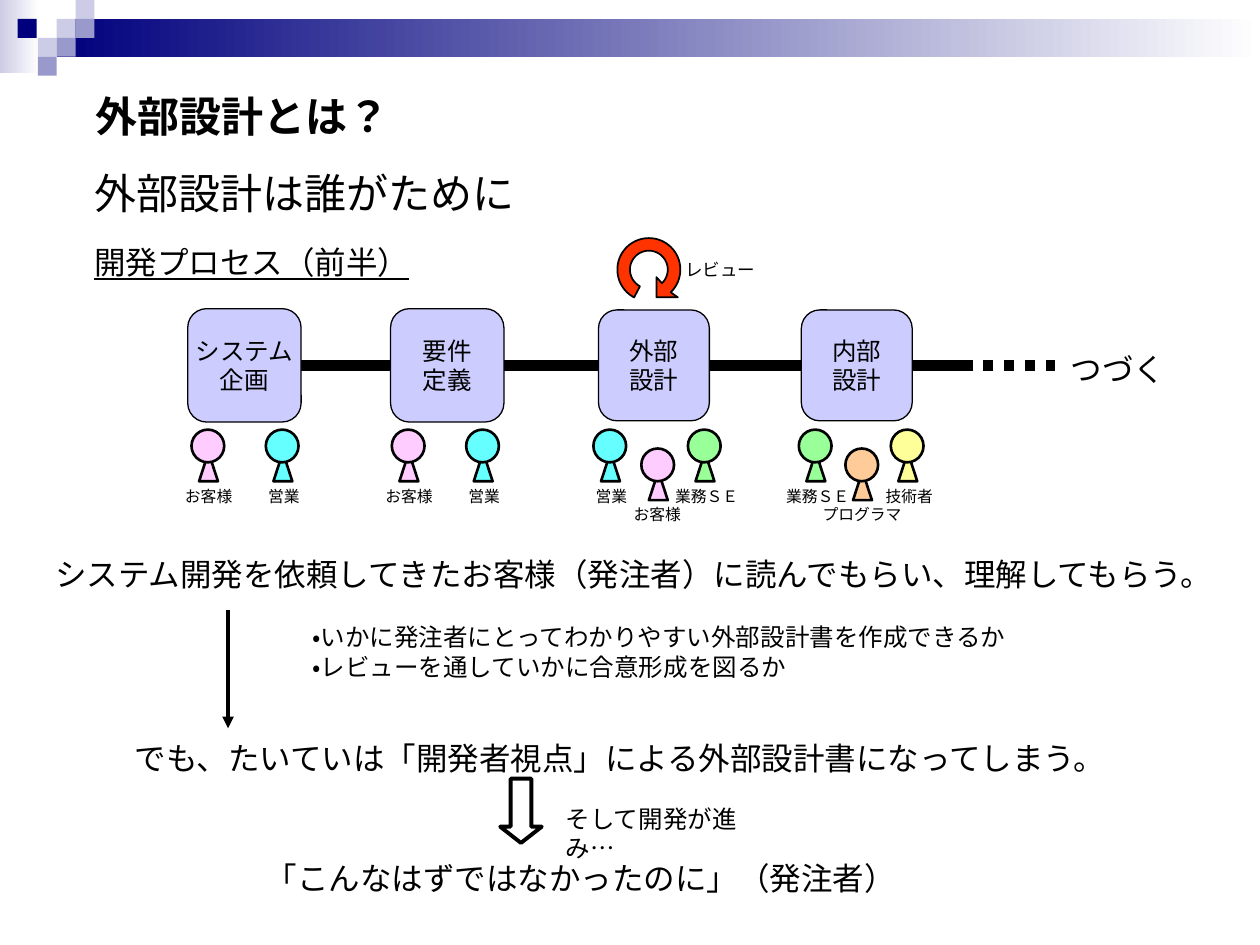
from math import cos, radians, sin

from lxml import etree
from pptx import Presentation
from pptx.dml.color import RGBColor
from pptx.enum.dml import MSO_LINE
from pptx.enum.lang import MSO_LANGUAGE_ID
from pptx.enum.shapes import MSO_CONNECTOR, MSO_SHAPE
from pptx.enum.text import MSO_ANCHOR, PP_ALIGN
from pptx.oxml.ns import qn
from pptx.util import Inches, Pt

RECT, ROUND, OVAL = MSO_SHAPE.RECTANGLE, MSO_SHAPE.ROUNDED_RECTANGLE, MSO_SHAPE.OVAL
CONE, DOWN = MSO_SHAPE.ISOSCELES_TRIANGLE, MSO_SHAPE.DOWN_ARROW
STRAIGHT, DOTS = MSO_CONNECTOR.STRAIGHT, MSO_LINE.ROUND_DOT
LEFT, CENTER, MIDDLE = PP_ALIGN.LEFT, PP_ALIGN.CENTER, MSO_ANCHOR.MIDDLE

COLORS = {
    "ink": "000000", "white": "FFFFFF", "navy": "00007D", "pale": "CCCCE6",
    "mid": "9999CC", "step": "CCCCFF", "red": "FF3300", "pink": "FFCCFF",
    "cyan": "66FFFF", "green": "99FF99", "orange": "FFCC99", "yellow": "FFFF99",
}
BASE = {"name": "Arial", "language_id": MSO_LANGUAGE_ID.JAPANESE}

CELL = 0.15  # side of a square in the header pattern
SQUARES = [
    (0.45, 1, "pale"), (0.6, 0, "pale"), (0.6, 1, "mid"), (0.3, 2, "pale"),
    (0.14, 1, "navy"), (0.45, 2, "mid"), (0.3, 3, "mid"),
]

# left, top, side, lines
STEPS = [
    (1.49, 2.45, 0.9, ["システム", "企画"]),
    (3.1, 2.45, 0.9, ["要件", "定義"]),
    (4.75, 2.46, 0.88, ["外部", "設計"]),
    (6.36, 2.46, 0.88, ["内部", "設計"]),
]

# head left, head top, colour, role, label left
HIGH, LOW = 3.41, 3.56
PEOPLE = [
    (1.52, HIGH, "pink", "お客様", 1.37),
    (2.11, HIGH, "cyan", "営業", 2.03),
    (5.46, HIGH, "green", "業務ＳＥ", 5.26),
    (6.71, LOW, "orange", "プログラマ", 6.43),
    (7.07, HIGH, "yellow", "技術者", 6.93),
    (3.11, HIGH, "pink", "お客様", 2.96),
    (3.7, HIGH, "cyan", "営業", 3.62),
    (5.09, LOW, "pink", "お客様", 4.93),
    (4.71, HIGH, "cyan", "営業", 4.63),
    (6.34, HIGH, "green", "業務ＳＥ", 6.14),
]

# box, lines, font format
TEXTS = [
    ((0.66, 0.67, 2.53, 0.5), ["外部設計とは？"], {"size": Pt(24), "bold": True}),
    ((0.65, 1.28, 3.53, 0.5), ["外部設計は誰がために"], {"size": Pt(24)}),
    ((0.65, 1.88, 2.75, 0.4), ["開発プロセス（前半）"], {"size": Pt(18), "underline": True}),
    ((5.34, 2.01, 0.8, 0.27), ["レビュー"], {"size": Pt(10)}),
    ((8.4, 2.73, 1, 0.4), ["つづく"], {"size": Pt(18)}),
    ((0.34, 4.36, 9.45, 0.4),
     ["システム開発を依頼してきたお客様（発注者）に読んでもらい、理解してもらう。"],
     {"size": Pt(18)}),
    ((2.38, 4.89, 5.95, 0.57),
     ["・いかに発注者にとってわかりやすい外部設計書を作成できるか",
      "・レビューを通していかに合意形成を図るか"], {"size": Pt(14)}),
    ((0.97, 5.82, 7.95, 0.4),
     ["でも、たいていは「開発者視点」による外部設計書になってしまう。"], {"size": Pt(18)}),
    ((2.01, 6.77, 5.25, 0.4), ["「こんなはずではなかったのに」（発注者）"], {"size": Pt(18)}),
]


def tint(name):
    return RGBColor.from_string(COLORS[name])


def paint(shape, fill, width=0):
    """Give a shape a flat fill and, if a width is set, a black line."""
    shape.shadow.inherit = False
    shape.fill.solid()
    shape.fill.fore_color.rgb = tint(fill)
    if width:
        shape.line.color.rgb = tint("ink")
        shape.line.width = Pt(width)
    else:
        shape.line.fill.background()
    return shape


def add_form(slide, kind, box, fill, width=0):
    return paint(slide.shapes.add_shape(kind, *map(Inches, box)), fill, width)


def add_fade(slide, box, start):
    """Bar that fades to white from left to right."""
    bar = add_form(slide, RECT, box, start)
    bar.fill.gradient()
    bar.fill.gradient_angle = 0
    for stop, name in zip(bar.fill.gradient_stops, (start, "white")):
        stop.color.rgb = tint(name)


def write(shape, lines, style, align=LEFT, wrap=False):
    frame = shape.text_frame
    frame.word_wrap = wrap
    for i, line in enumerate(lines):
        para = frame.add_paragraph() if i else frame.paragraphs[0]
        para.alignment = align
        run = para.add_run()
        run.text = line
        run.font.color.rgb = tint("ink")
        for key, value in {**BASE, **style}.items():
            setattr(run.font, key, value)


def add_text(slide, box, lines, style, wrap=False):
    write(slide.shapes.add_textbox(*map(Inches, box)), lines, style, wrap=wrap)


def add_line(slide, start, end, width, dash=None, head=False):
    rule = slide.shapes.add_connector(STRAIGHT, *map(Inches, start + end))
    rule.line.color.rgb = tint("ink")
    rule.line.width = Pt(width)
    if dash:
        rule.line.dash_style = dash
    if head:
        etree.SubElement(rule.line._get_or_add_ln(), qn("a:tailEnd"), type="triangle")
    etree.SubElement(rule._element.spPr, qn("a:effectLst"))


def add_step(slide, left, top, side, lines):
    box = add_form(slide, ROUND, (left, top, side, side), "step", 0.75)
    box.text_frame.vertical_anchor = MIDDLE
    write(box, lines, {"size": Pt(14)}, CENTER)


def add_person(slide, left, top, fill, role, edge):
    add_form(slide, CONE, (left + 0.06, top + 0.18, 0.15, 0.23), fill, 1.5)
    add_form(slide, OVAL, (left, top, 0.26, 0.26), fill, 1.5)
    # One 9 pt letter is 0.125 wide; the rest is margin and slack
    width = 0.125 * len(role) + 0.25
    add_text(slide, (edge, top + 0.4, width, 0.25), [role], {"size": Pt(9)})


def add_loop(slide, x, y):
    """Round review arrow about the centre x, y."""
    def arc(radius, angles):
        return [(x + radius * cos(radians(a)), y + radius * sin(radians(a))) for a in angles]

    tip = [(x + 0.23, y + 0.22), (x + 0.06, y + 0.22), (x + 0.06, y + 0.06)]
    dots = arc(0.25, range(118, 407, 4)) + tip + arc(0.15, range(406, 117, -4))
    pen = slide.shapes.build_freeform(*map(Inches, dots[0]))
    pen.add_line_segments([tuple(map(Inches, dot)) for dot in dots[1:]], close=True)
    paint(pen.convert_to_shape(), "red", 1)


def main():
    deck = Presentation()
    deck.slide_width, deck.slide_height = Inches(10), Inches(7.5)
    slide = deck.slides.add_slide(deck.slide_layouts[6])

    # Header pattern
    add_fade(slide, (0, 0, 0.31, 0.58), "pale")
    add_fade(slide, (0.45, 0.15, 9.55, 0.3), "navy")
    for left, row, fill in SQUARES:
        add_form(slide, RECT, (left, row * CELL, CELL, CELL), fill)

    # Process line, steps and review
    add_line(slide, (1.73, 2.9), (7.72, 2.9), 6)
    add_line(slide, (7.8, 2.9), (8.37, 2.9), 6, dash=DOTS)
    for step in STEPS:
        add_step(slide, *step)
    add_loop(slide, 5.15, 2.14)

    # People at each step
    for person in PEOPLE:
        add_person(slide, *person)

    # Headings and statements
    for box, lines, style in TEXTS:
        add_text(slide, box, lines, style)
    add_text(slide, (4.39, 6.33, 1.91, 0.34), ["そして開発が進み…"], {"size": Pt(14)}, wrap=True)

    # Arrows between statements
    add_line(slide, (1.81, 4.84), (1.81, 5.78), 2.25, head=True)
    arrow = add_form(slide, DOWN, (3.97, 6.18, 0.33, 0.51), "white", 2.25)
    arrow.adjustments[1] = 0.39

    deck.save("out.pptx")


if __name__ == "__main__":
    main()
